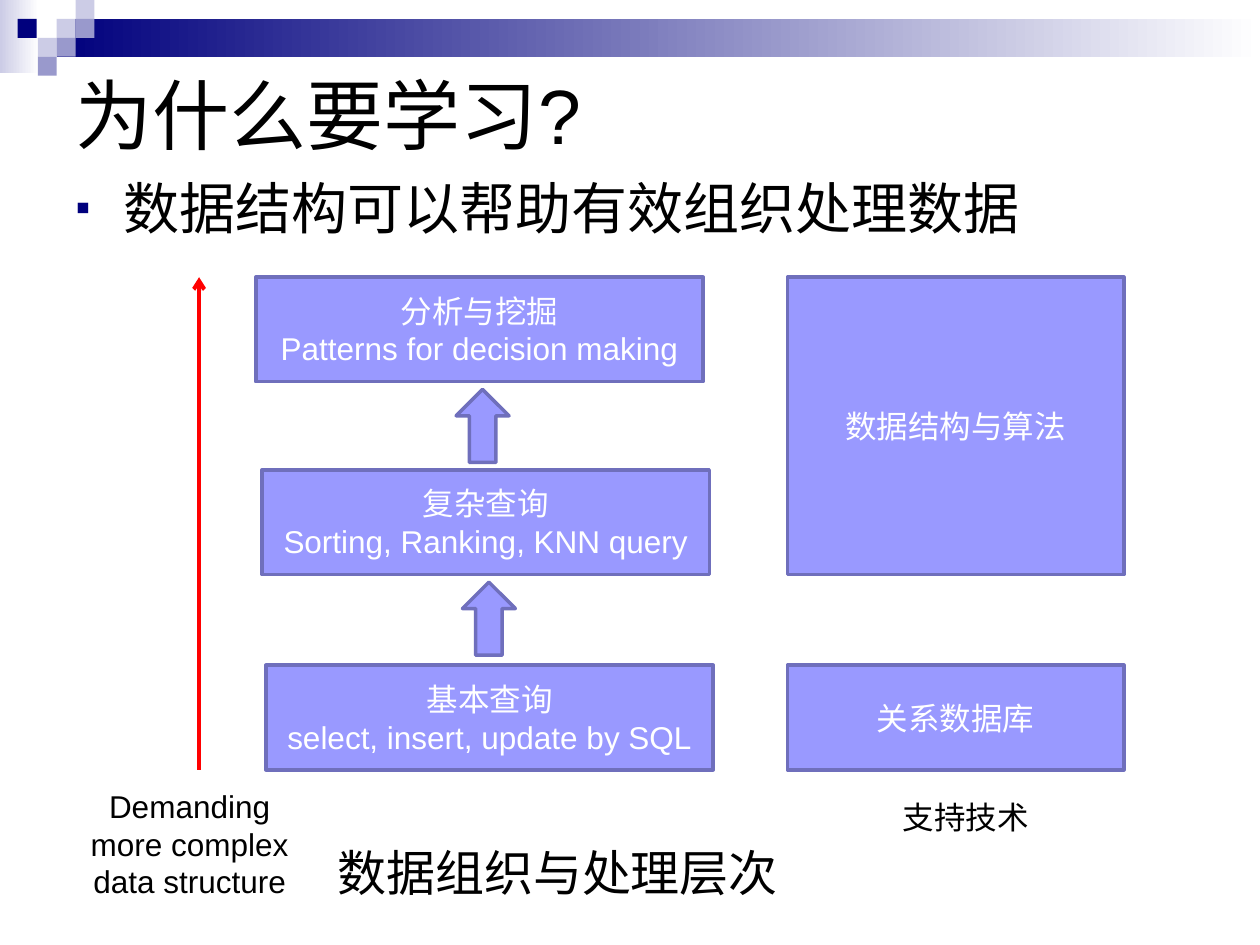
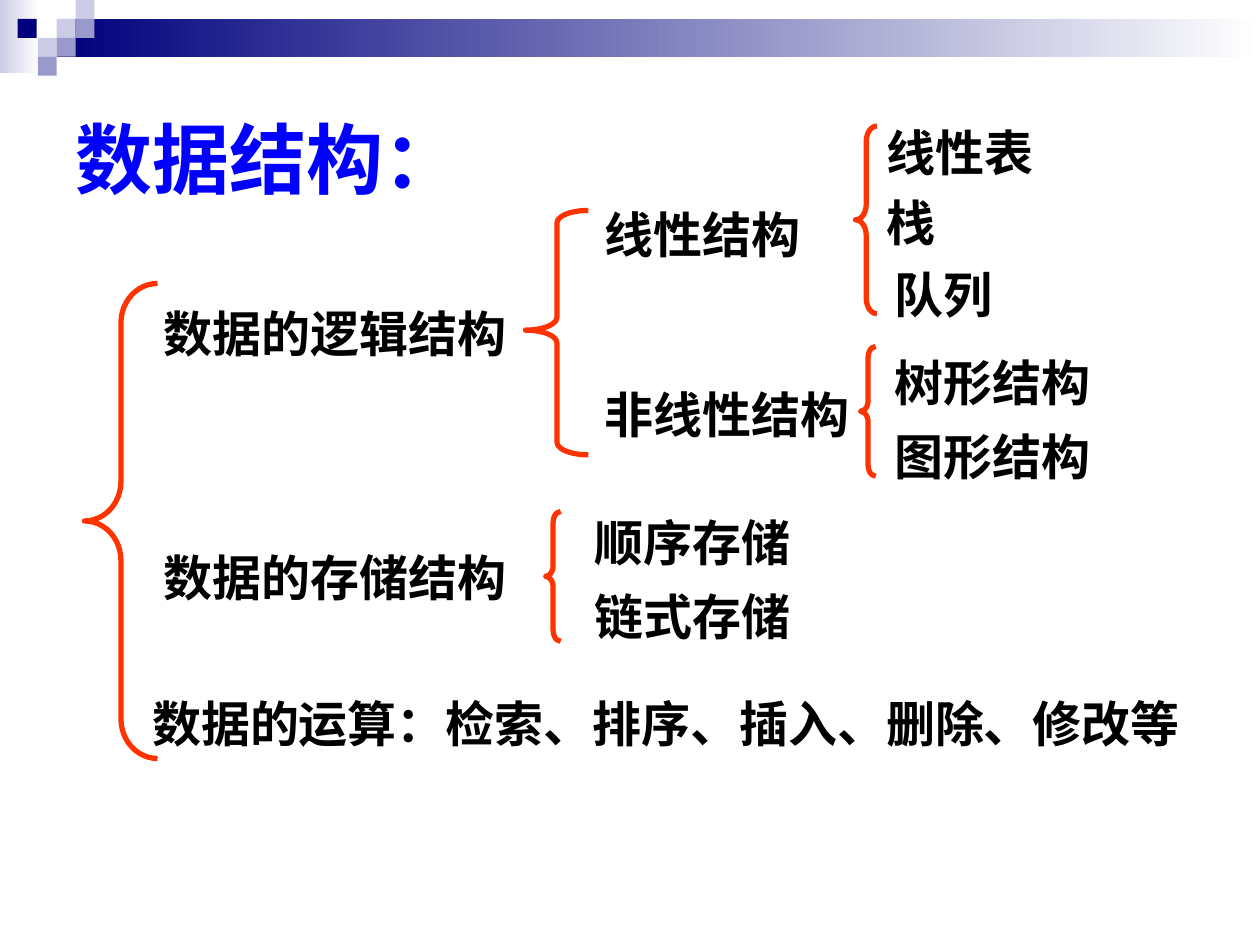
from typing import NamedTuple, Optional

from lxml import etree
from pptx import Presentation
from pptx.dml.color import RGBColor
from pptx.enum.lang import MSO_LANGUAGE_ID as Language
from pptx.enum.shapes import MSO_CONNECTOR as Connector, MSO_SHAPE as Preset
from pptx.enum.text import MSO_ANCHOR as Anchor, MSO_AUTO_SIZE as AutoSize, PP_ALIGN as Align
from pptx.oxml.ns import qn
from pptx.shapes.autoshape import Shape
from pptx.slide import Slide
from pptx.util import Inches, Pt

# The slide is a grid of 100 columns by 75 rows of square cells.
COLUMNS, ROWS = 100, 75
CELL = Inches(0.1)

NAVY, PALE, MIST = "00007D", "CCCCE6", "9999CC"
BLACK, WHITE, BLUE = "000000", "FFFFFF", "0000FF"
BOX_FILL, BOX_EDGE = "9999FF", "6F6FBC"
ARROW_RED, BRACE_RED = "FF0000", "FF3300"
ARIAL, NOTO, TIMES = "Arial", "Noto Sans CJK SC", "Times New Roman"


class Area(NamedTuple):
    column: float
    row: float
    columns: float
    rows: float

    def lengths(self) -> list[int]:
        return [round(cells * CELL) for cells in self]


class TextStyle(NamedTuple):
    size: float
    color: str = BLACK
    font: str = ARIAL
    bold: bool = False
    align: Align = Align.LEFT


class BandPart(NamedTuple):
    area: Area
    color: str
    fades: bool = False


class Tier(NamedTuple):
    column: float
    row: float
    lines: list[str]


class Term(NamedTuple):
    column: float
    row: float
    text: str
    font: str = TIMES


class Brace(NamedTuple):
    area: Area
    curl: float
    tip: float = 0.5


TITLE = TextStyle(44)
BODY = TextStyle(32)
CAPTION = TextStyle(28)
LABEL = TextStyle(18, align=Align.CENTER)
BOX_LABEL = LABEL._replace(color=WHITE)

SQUARE = 1.5
BAND = [
    BandPart(Area(0, 0, 3.1, 5.8), PALE, fades=True),
    BandPart(Area(4.5, 1.5, 95.5, 3), NAVY, fades=True),
    *[BandPart(Area(column, row, SQUARE, SQUARE), color) for column, row, color in [
        (4.5, 1.5, PALE), (6, 0, PALE), (6, 1.5, MIST), (3, 3, PALE),
        (1.4, 1.5, NAVY), (4.5, 3, MIST), (3, 4.5, MIST)]],
]

TIER_SIZE = (35.5, 8.3)
TIERS = [
    Tier(20.3, 22, ["分析与挖掘", "Patterns for decision making"]),
    Tier(20.8, 37.3, ["复杂查询", "Sorting, Ranking, KNN query"]),
    Tier(21.1, 52.8, ["基本查询", "select, insert, update by SQL"]),
]
SUPPORTS = [
    (Area(62.5, 22, 26.7, 23.6), "数据结构与算法"),
    (Area(62.5, 52.8, 26.7, 8.3), "关系数据库"),
]

BRACES = [
    Brace(Area(6.7, 22.5, 5.8, 37.7), 0.54),
    Brace(Area(43.3, 40.6, 1.2, 10.3), 0.72),
    Brace(Area(41.7, 16.7, 5, 19.4), 0.2, 0.49),
    Brace(Area(67.9, 10, 1.7, 14.9), 0.72),
    Brace(Area(68.3, 27.5, 1.2, 10.3), 0.72),
]
TERM_ROWS = 5.7
GLYPH_COLUMNS = 4
TERMS = [
    Term(12, 23.6, "数据的逻辑结构", NOTO),
    Term(12, 42.9, "数据的存储结构", NOTO),
    Term(11.1, 54.5, "数据的运算：检索、排序、插入、删除、修改等"),
    Term(47, 15.7, "线性结构"),
    Term(47, 30, "非线性结构"),
    Term(46.2, 40.2, "顺序存储", NOTO),
    Term(46.2, 46, "链式存储", NOTO),
    Term(69.4, 9.2, "线性表"),
    Term(69.4, 14.8, "栈"),
    Term(70, 20.5, "队列"),
    Term(70, 27.5, "树形结构"),
    Term(70, 33.3, "图形结构"),
]


def rgb(color: str) -> RGBColor:
    return RGBColor.from_string(color)


def write(box: Shape, lines: list[str], style: TextStyle, anchor: Anchor = Anchor.MIDDLE) -> None:
    frame = box.text_frame
    frame.word_wrap = True
    frame.auto_size = AutoSize.NONE
    frame.vertical_anchor = anchor
    for index, line in enumerate(lines):
        para = frame.add_paragraph() if index else frame.paragraphs[0]
        para.alignment = style.align
        para.space_before = Pt(0)
        span = para.add_run()
        span.text = line
        font = span.font
        font.name, font.size, font.bold = style.font, Pt(style.size), style.bold
        font.color.rgb = rgb(style.color)
        font.language_id = Language.SIMPLIFIED_CHINESE


def place(holder: Shape, area: Area) -> None:
    holder.left, holder.top, holder.width, holder.height = area.lengths()


def add_text(page: Slide, area: Area, lines: list[str], style: TextStyle) -> None:
    write(page.shapes.add_textbox(*area.lengths()), lines, style)


def add_preset(page: Slide, preset: Preset, area: Area, fill: Optional[str],
               edge: Optional[str] = None, width: float = 2) -> Shape:
    """Draw a preset shape; a missing colour means no fill or no line."""
    shape = page.shapes.add_shape(preset, *area.lengths())
    shape.shadow.inherit = False
    if fill:
        shape.fill.solid()
        shape.fill.fore_color.rgb = rgb(fill)
    else:
        shape.fill.background()
    if edge:
        shape.line.color.rgb = rgb(edge)
        shape.line.width = Pt(width)
    else:
        shape.line.fill.background()
    return shape


def add_box(page: Slide, area: Area, lines: list[str]) -> None:
    write(add_preset(page, Preset.RECTANGLE, area, BOX_FILL, BOX_EDGE), lines, BOX_LABEL)


def add_band_to_master(deck: Presentation, page: Slide) -> None:
    """Draw the band on a page, then move its parts behind the master's placeholders."""
    tree = deck.slide_master.element.cSld.spTree
    for index, part in enumerate(BAND, start=2):
        shape = add_preset(page, Preset.RECTANGLE, part.area, part.color)
        if part.fades:
            shape.fill.gradient()
            shape.fill.gradient_angle = 0
            for stop, color in zip(shape.fill.gradient_stops, (part.color, WHITE)):
                stop.color.rgb = rgb(color)
        tree.insert(index, shape.element)


def add_bullet(holder: Shape) -> None:
    properties = holder.text_frame.paragraphs[0]._p.get_or_add_pPr()
    properties.set("marL", str(Inches(0.38)))
    properties.set("indent", str(-Inches(0.38)))
    color = etree.SubElement(properties, qn("a:buClr"))
    etree.SubElement(color, qn("a:srgbClr"), val=NAVY)
    etree.SubElement(properties, qn("a:buSzPct"), val="75000")
    etree.SubElement(properties, qn("a:buFont"), typeface=ARIAL)
    etree.SubElement(properties, qn("a:buChar"), char="▪")


def add_rising_arrow(page: Slide, column: float, bottom: float, top: float) -> None:
    x, start, end = (round(cells * CELL) for cells in (column, bottom, top))
    arrow = page.shapes.add_connector(Connector.STRAIGHT, x, start, x, end)
    arrow.line.color.rgb = rgb(ARROW_RED)
    arrow.line.width = Pt(2.25)
    etree.SubElement(arrow.line._get_or_add_ln(), qn("a:tailEnd"), type="arrow")
    etree.SubElement(arrow.element.spPr, qn("a:effectLst"))


def add_reasons_page(deck: Presentation) -> Slide:
    page = deck.slides.add_slide(deck.slide_layouts.get_by_name("Title and Content"))
    title, body = page.placeholders
    place(title, Area(5, 4, 94.2, 10))
    write(title, ["为什么要学习?"], TITLE)
    place(body, Area(5, 13.3, 93.4, 6.7))
    add_bullet(body)
    write(body, ["数据结构可以帮助有效组织处理数据"], BODY, Anchor.TOP)

    add_text(page, Area(25.8, 64.2, 40, 10), ["数据组织与处理层次"], CAPTION)
    for tier in TIERS:
        add_box(page, Area(tier.column, tier.row, *TIER_SIZE), tier.lines)
    for upper in TIERS[:-1]:
        add_preset(page, Preset.UP_ARROW, Area(upper.column + 15.9, upper.row + 8.9, 4.2, 5.8),
                   BOX_FILL, BOX_EDGE)
    add_rising_arrow(page, 15.8, 61.1, 22)
    add_text(page, Area(4.2, 62.8, 21.7, 8.3), ["Demanding", "more complex data structure"], LABEL)
    for area, name in SUPPORTS:
        add_box(page, area, [name])
    add_text(page, Area(65.8, 62, 21.7, 5.6), ["支持技术"], LABEL)
    return page


def add_overview_page(deck: Presentation) -> None:
    page = deck.slides.add_slide(deck.slide_layouts.get_by_name("Title Only"))
    title = page.shapes.title
    place(title, Area(5, 5, 90, 15))
    write(title, ["数据结构："], TITLE._replace(color=BLUE, bold=True))
    for brace in BRACES:
        shape = add_preset(page, Preset.LEFT_BRACE, brace.area, None, BRACE_RED, 3)
        shape.adjustments[0], shape.adjustments[1] = brace.curl, brace.tip
    for term in TERMS:
        area = Area(term.column, term.row, len(term.text) * GLYPH_COLUMNS + 2, TERM_ROWS)
        add_text(page, area, [term.text], CAPTION._replace(font=term.font, bold=True))


def main() -> None:
    deck = Presentation()
    deck.slide_width, deck.slide_height = COLUMNS * CELL, ROWS * CELL
    first_page = add_reasons_page(deck)
    add_band_to_master(deck, first_page)
    add_overview_page(deck)
    deck.save("out.pptx")


if __name__ == "__main__":
    main()
